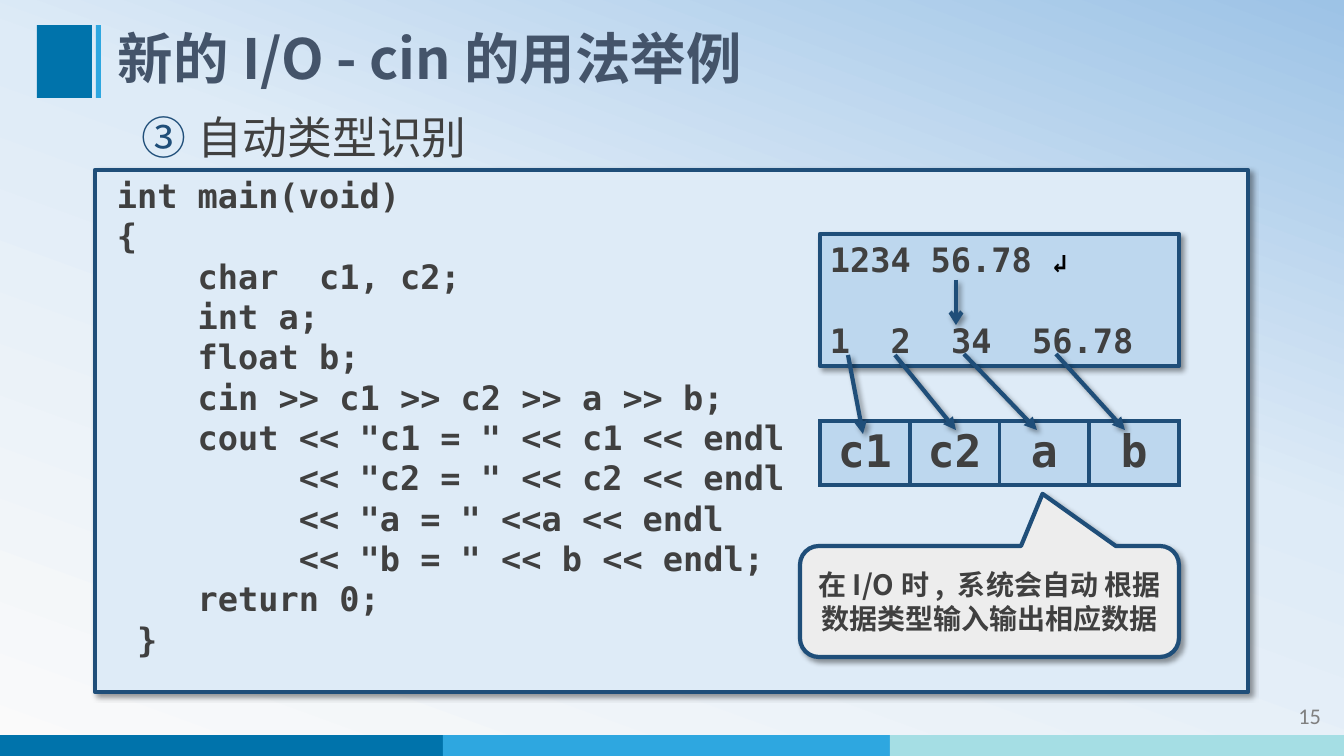
from pptx import Presentation
from pptx.dml.color import RGBColor
from pptx.enum.shapes import MSO_CONNECTOR, MSO_SHAPE
from pptx.enum.text import MSO_ANCHOR, PP_ALIGN
from pptx.oxml import parse_xml
from pptx.oxml.ns import nsdecls, qn
from pptx.util import Pt

SCALE = 914400 / 100.8
PAGE_WIDTH, PAGE_HEIGHT = 1344, 756

DEEP_BLUE = RGBColor(0x00, 0x73, 0xAB)
SKY_BLUE = RGBColor(0x2E, 0xA7, 0xE0)
AQUA = RGBColor(0xA5, 0xDE, 0xE4)
NAVY = RGBColor(0x1F, 0x4E, 0x79)
PALE_BLUE = RGBColor(0xDE, 0xEB, 0xF7)
LIGHT_BLUE = RGBColor(0xBD, 0xD7, 0xEE)
MID_BLUE = RGBColor(0x9D, 0xC3, 0xE6)
OFF_WHITE = RGBColor(0xFA, 0xFA, 0xFA)
PALE_GRAY = RGBColor(0xED, 0xED, 0xED)
GRAY = RGBColor(0x80, 0x80, 0x80)
SLATE = RGBColor(0x44, 0x54, 0x6A)
CHARCOAL = RGBColor(0x40, 0x40, 0x40)
BLACK = RGBColor(0, 0, 0)

SANS, MONO = "Noto Sans CJK SC", "DejaVu Sans Mono"

# Each style: font name, size, bold, colour, then paragraph format
STYLES = {
    "title": (SANS, 39.6, True, SLATE, {"line_spacing": 0.9}),
    "heading": (SANS, 32, False, CHARCOAL, {}),
    "code": (MONO, 24, True, CHARCOAL, {"alignment": PP_ALIGN.LEFT}),
    "enter": (MONO, 18, True, BLACK, {}),
    "variable": (MONO, 32, True, CHARCOAL, {"alignment": PP_ALIGN.CENTER}),
    "note": (SANS, 20, True, CHARCOAL, {"alignment": PP_ALIGN.CENTER}),
    "number": ("Calibri", 16, False, GRAY, {"alignment": PP_ALIGN.RIGHT}),
}

TITLE = "新的I/O - cin的用法举例"
HEADING = "自动类型识别"
PAGE_NUMBER = "15"
NOTE = "在I/O时, 系统会自动 根据数据类型输入输出相应数据"
CODE = [
    "int main(void)",
    "{",
    "    char  c1, c2;",
    "    int a;",
    "    float b;",
    "    cin >> c1 >> c2 >> a >> b;",
    '    cout << "c1 = " << c1 << endl',
    '         << "c2 = " << c2 << endl',
    '         << "a = " <<a << endl',
    '         << "b = " << b << endl;',
    "    return 0;",
    " }",
]
TYPED, ENTER_KEY = "1234\t56.78 ", "↲"
PARSED = "1  2  34  56.78"
VARIABLES = ["c1", "c2", "a", "b"]

BACKGROUND = [(0, OFF_WHITE), (58, PALE_BLUE), (100, MID_BLUE)]
DECORATION = [
    ((0, 735, 444, 21), DEEP_BLUE),
    ((443, 735, 448, 21), SKY_BLUE),
    ((890, 735, 454, 21), AQUA),
    ((37, 25, 55, 73), DEEP_BLUE),
    ((96, 25, 5, 73), SKY_BLUE),
]
ARROWS = [
    ((956, 280), (956, 325), "arrow"),
    ((848, 355), (863, 434), "triangle"),
    ((895, 355), (956, 430), "triangle"),
    ((964, 354), (1037, 430), "triangle"),
    ((1056, 354), (1125, 430), "triangle"),
]


def emu(*pixels):
    """Turn pixel lengths into EMU."""
    return [round(value * SCALE) for value in pixels]


def set_attributes(target, values):
    """Set every attribute named in a dict."""
    for name, value in values.items():
        setattr(target, name, value)


def add_span(para, text, style):
    """Append one run in a named style."""
    name, size, bold, color, _ = STYLES[style]
    span = para.add_run()
    span.text = text
    set_attributes(span.font, {"name": name, "size": Pt(size), "bold": bold})
    span.font.color.rgb = color
    span.font._element.find(qn("a:latin")).addnext(
        parse_xml(f'<a:ea {nsdecls("a")} typeface="{name}"/>'))


def write(frame, lines, style, anchor=MSO_ANCHOR.TOP):
    """Fill a text frame with one paragraph a line."""
    set_attributes(frame, {"word_wrap": True, "vertical_anchor": anchor})
    for index, line in enumerate(lines):
        para = frame.add_paragraph() if index else frame.paragraphs[0]
        set_attributes(para, STYLES[style][4])
        add_span(para, line, style)
    return frame.paragraphs


def add_label(page, place, text, style, anchor=MSO_ANCHOR.TOP):
    """Add a text box and return its paragraph."""
    box = page.shapes.add_textbox(*emu(*place))
    return write(box.text_frame, [text], style, anchor)[0]


def set_indent(para, left, first):
    """Set the left margin and first-line indent in pixels."""
    margin, indent = emu(left, first)
    properties = para._p.get_or_add_pPr()
    properties.set("marL", str(margin))
    properties.set("indent", str(indent))
    return properties


def add_shadow(shape):
    """Give a shape or connector a soft shadow to the lower right."""
    shape._element.spPr.append(parse_xml(
        f'<a:effectLst {nsdecls("a")}><a:outerShdw blurRad="{Pt(4)}" '
        f'dist="{Pt(3)}" dir="2700000" algn="tl" rotWithShape="0">'
        '<a:srgbClr val="000000"><a:alpha val="40000"/></a:srgbClr>'
        '</a:outerShdw></a:effectLst>'))


def add_block(page, place, fill, kind=MSO_SHAPE.RECTANGLE, framed=True):
    """Add a filled shape, with outline and shadow when framed."""
    block = page.shapes.add_shape(kind, *emu(*place))
    block.fill.solid()
    block.fill.fore_color.rgb = fill
    if framed:
        block.line.color.rgb = NAVY
        block.line.width = Pt(3)
        add_shadow(block)
    else:
        block.line.fill.background()
        block.shadow.inherit = False
    return block


def add_arrow(page, start, end, head):
    """Draw an arrow from start to end."""
    arrow = page.shapes.add_connector(MSO_CONNECTOR.STRAIGHT,
                                      *emu(*start, *end))
    arrow.line.color.rgb = NAVY
    arrow.line.width = Pt(3)
    arrow.line._get_or_add_ln().append(
        parse_xml(f'<a:tailEnd {nsdecls("a")} type="{head}"/>'))
    add_shadow(arrow)


def add_variables(page, place):
    """Add the one-row table of variables."""
    table = page.shapes.add_table(1, len(VARIABLES), *emu(*place)).table
    for cell, name in zip(table.iter_cells(), VARIABLES):
        cell.fill.solid()
        cell.fill.fore_color.rgb = LIGHT_BLUE
        write(cell.text_frame, [name], "variable")
        for index, side in enumerate("LRTB"):
            cell._tc.get_or_add_tcPr().insert(index, parse_xml(
                f'<a:ln{side} {nsdecls("a")} w="{Pt(3)}"><a:solidFill>'
                f'<a:srgbClr val="{NAVY}"/></a:solidFill></a:ln{side}>'))


def set_background(page):
    """Paint the slide with a slanted gradient."""
    stops = "".join(f'<a:gs pos="{at * 1000}"><a:srgbClr val="{color}"/></a:gs>'
                    for at, color in BACKGROUND)
    page._element.cSld.insert(0, parse_xml(
        f'<p:bg {nsdecls("p", "a")}><p:bgPr><a:gradFill rotWithShape="1">'
        f'<a:gsLst>{stops}</a:gsLst><a:lin ang="{290 * 60000}" scaled="0"/>'
        '</a:gradFill><a:effectLst/></p:bgPr></p:bg>'))


deck = Presentation()
deck.slide_width, deck.slide_height = emu(PAGE_WIDTH, PAGE_HEIGHT)
page = deck.slides.add_slide(deck.slide_layouts[6])
set_background(page)
for place, color in DECORATION:
    add_block(page, place, color, framed=False)
add_label(page, (1171, 697, 160, 40), PAGE_NUMBER, "number")
add_label(page, (108, 25, 1095, 73), TITLE, "title", MSO_ANCHOR.MIDDLE)

code_box = add_block(page, (95, 170, 1153, 522), PALE_BLUE)
for para in write(code_box.text_frame, CODE, "code"):
    set_indent(para, 40, -28)

callout = add_block(page, (800, 546, 379, 111), PALE_GRAY,
                    MSO_SHAPE.ROUNDED_RECTANGULAR_CALLOUT)
for index, value in enumerate((0.14, -0.97, 0.17)):
    callout.adjustments[index] = value
write(callout.text_frame, [NOTE], "note", MSO_ANCHOR.MIDDLE)

heading = set_indent(add_label(page, (95, 105, 1133, 75), HEADING, "heading"),
                     93, -56)
for bullet in (f'buClr {nsdecls("a")}><a:srgbClr val="{NAVY}"/></a:buClr',
               f'buFont {nsdecls("a")} typeface="{SANS}"/',
               f'buAutoNum {nsdecls("a")} type="circleNumDbPlain" startAt="3"/'):
    heading.append(parse_xml(f"<a:{bullet}>"))

console = add_block(page, (820, 234, 359, 132), LIGHT_BLUE)
typed, parsed = write(console.text_frame, [TYPED, PARSED], "code")
add_span(typed, ENTER_KEY, "enter")
parsed.space_before = Pt(29)

add_variables(page, (820, 421, 359, 63))
for start, end, head in ARROWS:
    add_arrow(page, start, end, head)
deck.save("out.pptx")
